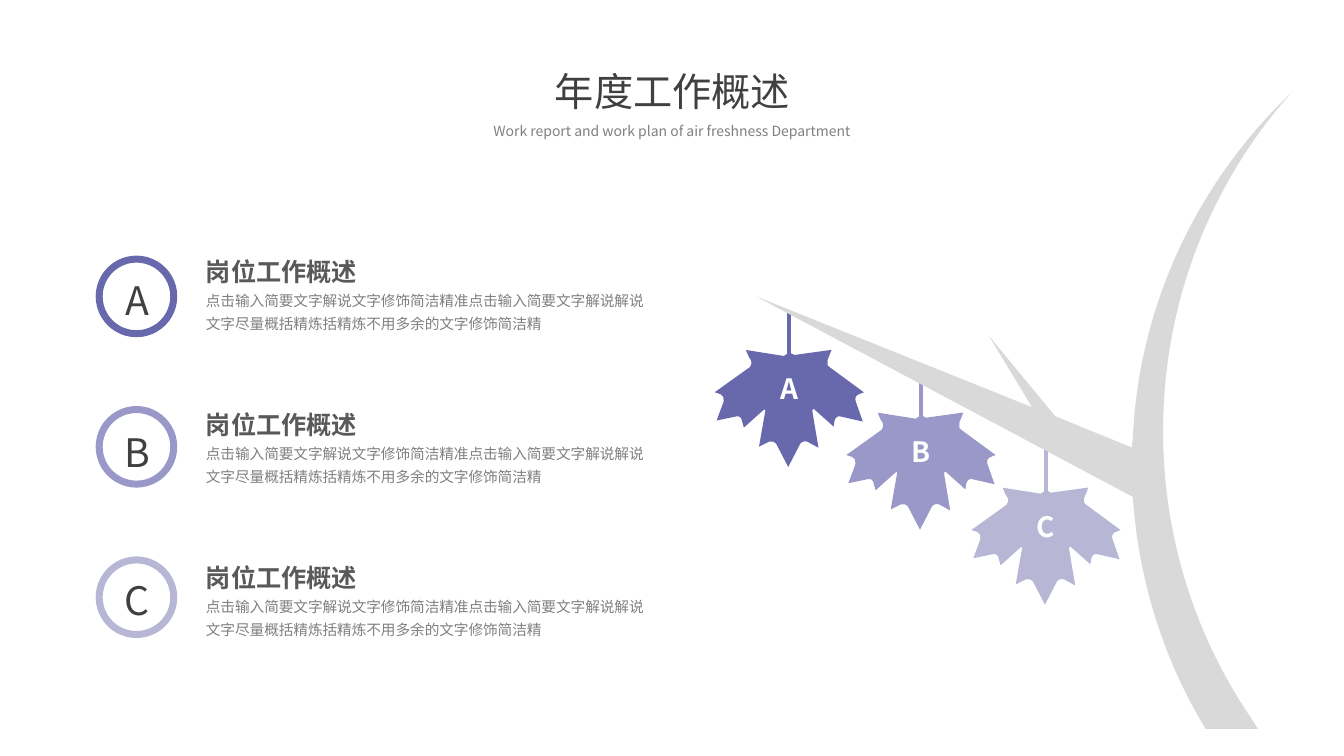
from dataclasses import dataclass
from typing import Optional

from lxml import etree
from pptx import Presentation
from pptx import util as u
from pptx.dml.color import RGBColor
from pptx.enum import shapes, text
from pptx.oxml.ns import qn

INDIGO = RGBColor(0x68, 0x68, 0xAC)
LAVENDER = RGBColor(0x99, 0x98, 0xC8)
PALE_LILAC = RGBColor(0xB8, 0xB6, 0xD5)
BARK = RGBColor(0xD9, 0xD9, 0xD9)
WHITE = RGBColor(0xFF, 0xFF, 0xFF)
DARK = RGBColor(0x40, 0x40, 0x40)
HEADING = RGBColor(0x59, 0x59, 0x59)
GREY = RGBColor(0x80, 0x80, 0x80)

FONT = "Noto Sans CJK SC"
HEADING_TEXT = "岗位工作概述"
BODY_TEXT = (
    "点击输入简要文字解说文字修饰简洁精准点击输入简要文字解说解说"
    "文字尽量概括精炼括精炼不用多余的文字修饰简洁精"
)

# Outlines: a pair is a straight segment, six numbers are a Bézier segment.
Outline = list[tuple[int, ...]]
OUTLINE_UNIT = u.Cm(2.54) / 100

LEAF: Outline = [
    (31, 0), (69, 6), (70, 5), (71, 4, 72, 3, 74, 3), (76, 3, 77, 4, 79, 5),
    (115, 0), (116, 0), (112, 10), (112, 14), (112, 15, 112, 16, 114, 17),
    (148, 42), (143, 44), (140, 45, 139, 48, 140, 51), (147, 71),
    (125, 66), (122, 65, 120, 67, 119, 70), (118, 76),
    (99, 59), (98, 58, 97, 58, 97, 61), (103, 97),
    (92, 91), (90, 90, 86, 91, 85, 93), (73, 116),
    (61, 93), (60, 91, 57, 90, 54, 91), (44, 96),
    (50, 62), (51, 59, 50, 58, 48, 60), (29, 77),
    (27, 70), (27, 67, 24, 65, 21, 66), (2, 70),
    (9, 51), (10, 48, 8, 45, 6, 44), (0, 42),
    (35, 17), (37, 15, 37, 12, 36, 10), (34, 7),
]
BRANCH: Outline = [
    (1282, 91), (1270, 105), (1197, 193, 1154, 305, 1154, 428),
    (1154, 533, 1186, 631, 1241, 712), (1248, 723), (1196, 723), (1184, 702),
    (1150, 639, 1129, 568, 1124, 493), (750, 294), (1024, 404), (981, 333),
    (1047, 413), (1123, 444), (1124, 434), (1130, 304, 1186, 187, 1272, 101),
]


@dataclass(frozen=True)
class Topic:
    letter: str
    color: RGBColor
    leaf_left: float
    leaf_top: float
    badge_letter_top: float


@dataclass(frozen=True)
class Line:
    wording: str
    size: float
    color: RGBColor
    bold: bool = False
    align: Optional[text.PP_ALIGN] = text.PP_ALIGN.CENTER
    spacing: Optional[float] = None
    before: Optional[float] = None


TOPICS = [
    Topic("A", INDIGO, 18.01, 8.82, 6.84),
    Topic("B", LAVENDER, 21.33, 10.4, 10.67),
    Topic("C", PALE_LILAC, 24.48, 12.29, 14.41),
]


def add_text(page, left: float, top: float, width: float, height: float, *lines: Line) -> None:
    box = page.shapes.add_textbox(u.Cm(left), u.Cm(top), u.Cm(width), u.Cm(height))
    frame = box.text_frame
    frame.text = "\n".join(line.wording for line in lines)
    frame.word_wrap = True
    frame.auto_size = text.MSO_AUTO_SIZE.SHAPE_TO_FIT_TEXT
    for para, line in zip(frame.paragraphs, lines):
        para.alignment = line.align
        para.line_spacing = line.spacing
        if line.before is not None:
            para.space_before = u.Pt(line.before)
        for span in para.runs:
            span.font.size = u.Pt(line.size)
            span.font.bold = line.bold
            span.font.color.rgb = line.color
            span.font.name = FONT
            east_asian = etree.SubElement(span.font._element, qn("a:ea"))
            east_asian.set("typeface", FONT)


def add_outline(page, outline: Outline, color: RGBColor, left: float = 0, top: float = 0) -> None:
    """Draw a filled outline: straight first, then bend its Bézier segments."""
    ends = [segment[-2:] for segment in outline]
    builder = page.shapes.build_freeform(*ends[0], scale=OUTLINE_UNIT)
    builder.add_line_segments(ends[1:], close=True)
    shape = builder.convert_to_shape(u.Cm(left), u.Cm(top))
    shape.shadow.inherit = False
    shape.fill.solid()
    shape.fill.fore_color.rgb = color
    shape.line.fill.background()

    min_x, min_y = min(x for x, _ in ends), min(y for _, y in ends)
    straights = list(shape._element.iter(qn("a:lnTo")))
    for straight, segment in zip(straights, outline[1:]):
        if len(segment) == 6:
            straight.tag = qn("a:cubicBezTo")
            for index in (0, 1):
                control = etree.Element(qn("a:pt"))
                control.set("x", str(segment[2 * index] - min_x))
                control.set("y", str(segment[2 * index + 1] - min_y))
                straight.insert(index, control)


def add_leaf(page, topic: Topic) -> None:
    """Draw a leaf with its stem and letter."""
    left, top = topic.leaf_left, topic.leaf_top
    add_outline(page, LEAF, topic.color, left, top)
    stem_x = u.Cm(left + 1.88)
    stem = page.shapes.add_connector(
        shapes.MSO_CONNECTOR.STRAIGHT, stem_x, u.Cm(top - 0.95), stem_x, u.Cm(top + 0.12))
    stem.line.color.rgb = topic.color
    stem.line.width = u.Pt(3)
    etree.SubElement(stem._element.spPr, qn("a:effectLst"))
    add_text(page, left + 1.01, top + 0.42, 1.73, 1.12,
             Line(topic.letter, 20, WHITE, bold=True))


def add_badge(page, topic: Topic, row: int) -> None:
    """Draw the ring with the letter at the start of a row."""
    ring = page.shapes.add_shape(
        shapes.MSO_SHAPE.OVAL, u.Cm(2.5), u.Cm(6.53 + 3.79 * row), u.Cm(1.88), u.Cm(1.88))
    ring.shadow.inherit = False
    ring.fill.background()
    ring.line.color.rgb = topic.color
    ring.line.width = u.Pt(5)
    add_text(page, 2.6, topic.badge_letter_top, 1.73, 1.45, Line(topic.letter, 28, DARK))


def main() -> None:
    deck = Presentation()
    deck.slide_width, deck.slide_height = u.Cm(33.87), u.Cm(19.05)
    page = deck.slides.add_slide(deck.slide_layouts[6])

    for topic in TOPICS:
        add_leaf(page, topic)
    add_outline(page, BRANCH, BARK)
    for row, topic in enumerate(TOPICS):
        add_badge(page, topic, row)
    for row in range(len(TOPICS)):
        add_text(page, 4.94, 5.96 + 3.85 * row, 11.79, 2.57,
                 Line(HEADING_TEXT, 18, HEADING, bold=True, align=None, spacing=1.5),
                 Line(BODY_TEXT, 10.5, GREY, align=None, spacing=1.3))

    add_text(page, 8.51, 1.57, 16.87, 1.45, Line("年度工作概述", 28, DARK))
    add_text(page, 9.02, 3, 15.82, 0.64,
             Line("Work report and work plan of air freshness Department", 10, GREY,
                  spacing=0.9, before=10))
    deck.save("out.pptx")


if __name__ == "__main__":
    main()
